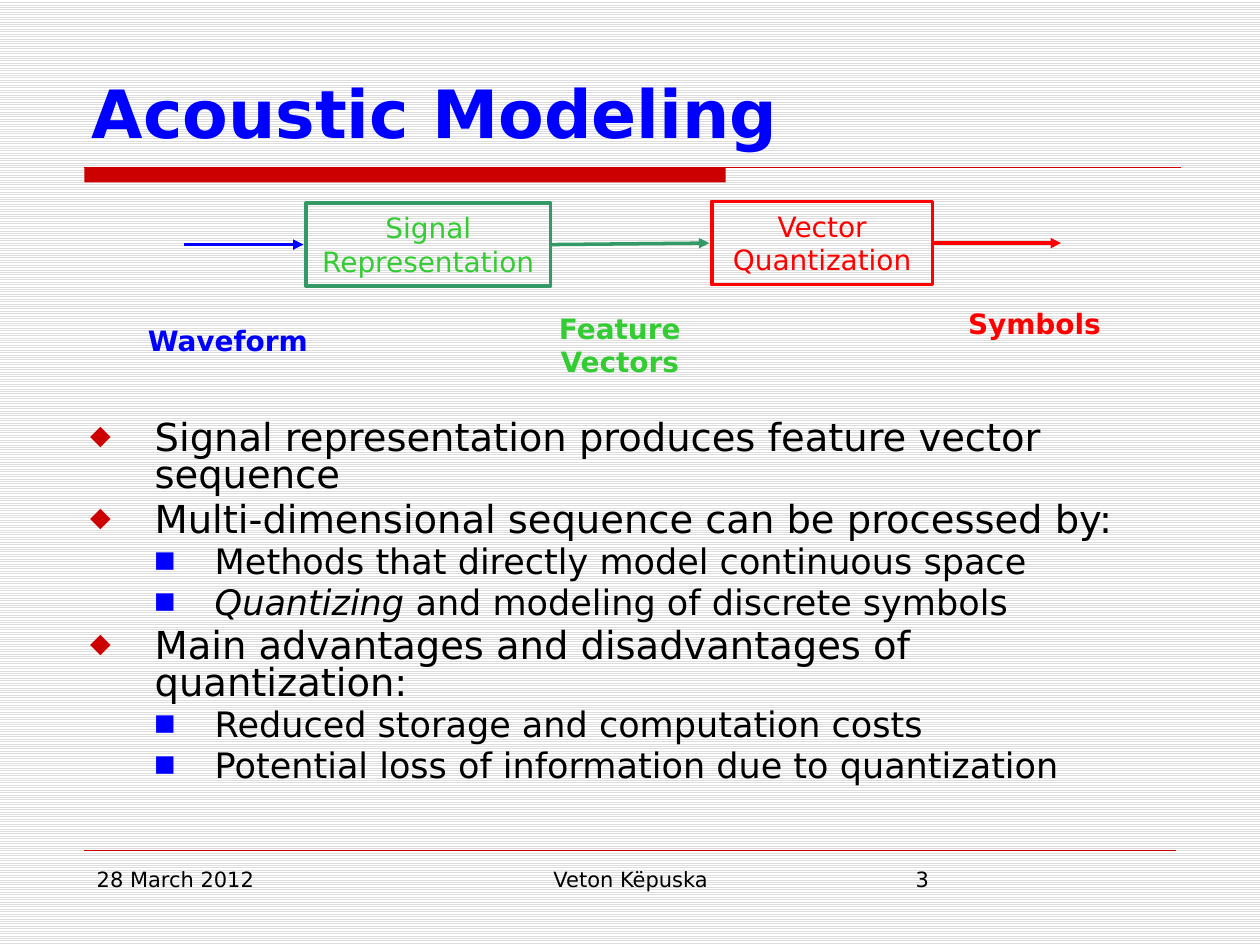
from dataclasses import dataclass

from lxml import etree
from pptx import Presentation
from pptx.dml.color import RGBColor
from pptx.enum.dml import MSO_PATTERN
from pptx.enum.shapes import MSO_CONNECTOR, MSO_SHAPE
from pptx.enum.text import MSO_ANCHOR, PP_ALIGN
from pptx.oxml.ns import qn
from pptx.util import Cm, Pt

LEFT, CENTER = PP_ALIGN.LEFT, PP_ALIGN.CENTER
TOP, MIDDLE, BOTTOM = MSO_ANCHOR.TOP, MSO_ANCHOR.MIDDLE, MSO_ANCHOR.BOTTOM
RECTANGLE, STRAIGHT = MSO_SHAPE.RECTANGLE, MSO_CONNECTOR.STRAIGHT
STRIPES = MSO_PATTERN.LIGHT_HORIZONTAL


@dataclass(frozen=True)
class Theme:
    font: str = "DejaVu Sans"
    black: str = "000000"
    white: str = "FFFFFF"
    stripe: str = "DDDDDD"
    accent: str = "CC0000"
    blue: str = "0000FF"
    red: str = "FF0000"
    green: str = "33CC33"
    dark_green: str = "339966"
    title: int = 38
    diagram: int = 16
    footer: int = 12
    flow_line: float = 2


THEME = Theme()


# Positions and sizes below are in centimetres.
@dataclass(frozen=True)
class Box:
    left: float
    top: float
    width: float
    height: float

    def lengths(self) -> list:
        return [Cm(v) for v in (self.left, self.top, self.width, self.height)]


@dataclass(frozen=True)
class Label:
    text: str
    box: Box
    color: str = THEME.black
    size: int = THEME.diagram
    bold: bool = False
    align: int = CENTER
    anchor: int = TOP


@dataclass(frozen=True)
class Stage:
    label: Label
    outline: str


@dataclass(frozen=True)
class Line:
    start: tuple
    end: tuple
    color: str
    width: float = THEME.flow_line
    arrow: bool = True


@dataclass(frozen=True)
class Level:
    size: int
    margin: float
    hanging: float
    space_before: float
    bullet: str
    bullet_color: str
    bullet_percent: int


@dataclass(frozen=True)
class Point:
    level: int
    text: str
    emphasis: str = ""


# Content
TITLE = Label("Acoustic Modeling", Box(1.6, 0.84, 22.23, 2.34), THEME.blue,
              THEME.title, True, LEFT, BOTTOM)
FOOTERS = [
    Label(text, Box(left, 17.35, width, 1.32), size=THEME.footer, align=align)
    for text, left, width, align in (
        ("28 March 2012", 1.7, 5.5, LEFT),
        ("Veton Këpuska", 8.69, 8.05, CENTER),
        ("3", 18.21, 5.5, LEFT),
    )
]
STAGES = [
    Stage(Label("Signal Representation", Box(6.17, 4.09, 4.93, 1.68),
                THEME.green, anchor=MIDDLE), THEME.dark_green),
    Stage(Label("Vector Quantization", Box(14.35, 4.06, 4.45, 1.68),
                THEME.red, anchor=MIDDLE), THEME.red),
]
SIGNALS = [
    Label("Waveform", Box(2.54, 6.4, 4.11, 0.94), THEME.blue, bold=True),
    Label("Feature Vectors", Box(10.44, 6.15, 4.11, 1.63), THEME.green, bold=True),
    Label("Symbols", Box(18.8, 6.05, 4.11, 0.94), THEME.red, bold=True),
]
LINES = [
    Line((1.7, 3.38), (23.8, 3.38), THEME.accent, 0.75, False),
    Line((1.7, 17.15), (23.7, 17.15), THEME.accent, 0.25, False),
    Line((3.71, 4.93), (6.12, 4.93), THEME.blue),
    Line((11.13, 4.93), (14.3, 4.9), THEME.dark_green),
    Line((18.82, 4.9), (21.39, 4.9), THEME.red),
]
TITLE_BAR = Box(1.7, 3.38, 12.93, 0.3)
BODY = Box(1.57, 8.38, 22.23, 8.33)
LEVELS = [
    Level(22, 1.3, 1.3, 4.5, "◆", THEME.accent, 70),
    Level(20, 2.51, 1.22, 4, "■", THEME.blue, 65),
]
POINTS = [
    Point(0, "Signal representation produces feature vector sequence"),
    Point(0, "Multi-dimensional sequence can be processed by:"),
    Point(1, "Methods that directly model continuous space"),
    Point(1, "and modeling of discrete symbols", "Quantizing "),
    Point(0, "Main advantages and disadvantages of quantization:"),
    Point(1, "Reduced storage and computation costs"),
    Point(1, "Potential loss of information due to quantization"),
]


def rgb(color: str) -> RGBColor:
    return RGBColor.from_string(color)


def add_run(paragraph, text: str, size: int, color: str,
            bold: bool = False, italic: bool = False) -> None:
    run = paragraph.add_run()
    run.text = text
    font = run.font
    font.name, font.size = THEME.font, Pt(size)
    font.bold, font.italic = bold, italic
    font.color.rgb = rgb(color)


def write_label(shape, label: Label) -> None:
    frame = shape.text_frame
    frame.word_wrap = True
    frame.vertical_anchor = label.anchor
    paragraph = frame.paragraphs[0]
    paragraph.alignment = label.align
    add_run(paragraph, label.text, label.size, label.color, label.bold)


def add_label(slide, label: Label) -> None:
    write_label(slide.shapes.add_textbox(*label.box.lengths()), label)


def add_rectangle(slide, box: Box):
    shape = slide.shapes.add_shape(RECTANGLE, *box.lengths())
    shape.shadow.inherit = False
    return shape


def add_stage(slide, stage: Stage) -> None:
    shape = add_rectangle(slide, stage.label.box)
    shape.fill.background()
    shape.line.color.rgb = rgb(stage.outline)
    shape.line.width = Pt(THEME.flow_line)
    write_label(shape, stage.label)


def add_line(slide, line: Line) -> None:
    ends = [Cm(v) for v in (*line.start, *line.end)]
    connector = slide.shapes.add_connector(STRAIGHT, *ends)
    connector.line.color.rgb = rgb(line.color)
    connector.line.width = Pt(line.width)
    properties = connector.element.spPr
    if line.arrow:
        etree.SubElement(properties.find(qn("a:ln")), qn("a:tailEnd"), type="triangle")
    etree.SubElement(properties, qn("a:effectLst"))


def set_bullet(paragraph, level: Level) -> None:
    properties = paragraph._p.get_or_add_pPr()
    properties.set("marL", str(Cm(level.margin)))
    properties.set("indent", str(-Cm(level.hanging)))
    color = etree.SubElement(properties, qn("a:buClr"))
    etree.SubElement(color, qn("a:srgbClr"), val=level.bullet_color)
    etree.SubElement(properties, qn("a:buSzPct"), val=str(level.bullet_percent * 1000))
    etree.SubElement(properties, qn("a:buFont"), typeface=THEME.font)
    etree.SubElement(properties, qn("a:buChar"), char=level.bullet)


def add_points(slide, box: Box, points: list[Point]) -> None:
    frame = slide.shapes.add_textbox(*box.lengths()).text_frame
    frame.word_wrap = True
    for index, point in enumerate(points):
        level = LEVELS[point.level]
        paragraph = frame.add_paragraph() if index else frame.paragraphs[0]
        paragraph.level = point.level
        paragraph.line_spacing = 0.8
        paragraph.space_before = Pt(level.space_before)
        set_bullet(paragraph, level)
        if point.emphasis:
            add_run(paragraph, point.emphasis, level.size, THEME.black, italic=True)
        add_run(paragraph, point.text, level.size, THEME.black)


def main() -> None:
    deck = Presentation()
    deck.slide_width, deck.slide_height = Cm(25.4), Cm(19.05)
    slide = deck.slides.add_slide(deck.slide_layouts[6])

    # Striped background
    backdrop = slide.background.fill
    backdrop.patterned()
    backdrop.pattern = STRIPES
    backdrop.fore_color.rgb = rgb(THEME.stripe)
    backdrop.back_color.rgb = rgb(THEME.white)

    # Title bar
    bar = add_rectangle(slide, TITLE_BAR)
    bar.fill.solid()
    bar.fill.fore_color.rgb = rgb(THEME.accent)
    bar.line.fill.background()

    # Title, footer and bullet points
    for label in (TITLE, *FOOTERS):
        add_label(slide, label)
    add_points(slide, BODY, POINTS)

    # Rules and processing chain
    for stage in STAGES:
        add_stage(slide, stage)
    for line in LINES:
        add_line(slide, line)
    for label in SIGNALS:
        add_label(slide, label)

    deck.save("out.pptx")


if __name__ == "__main__":
    main()
